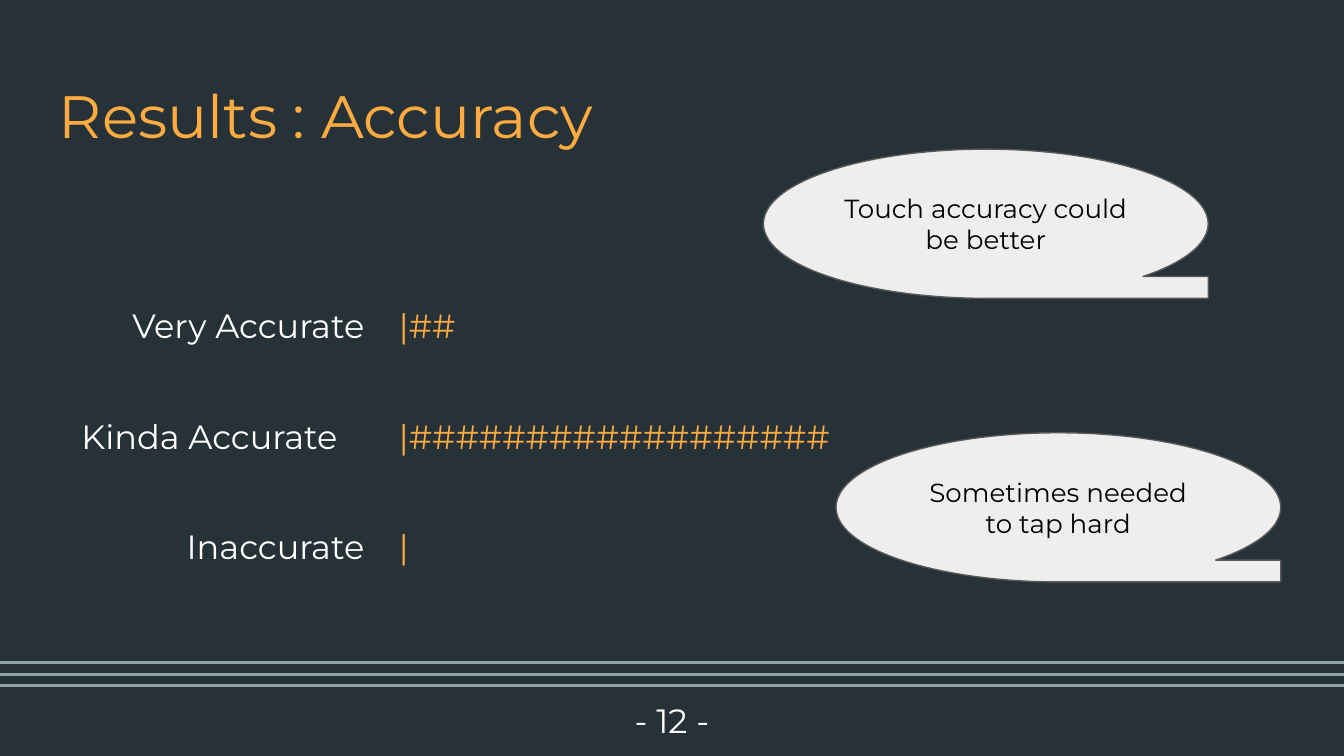
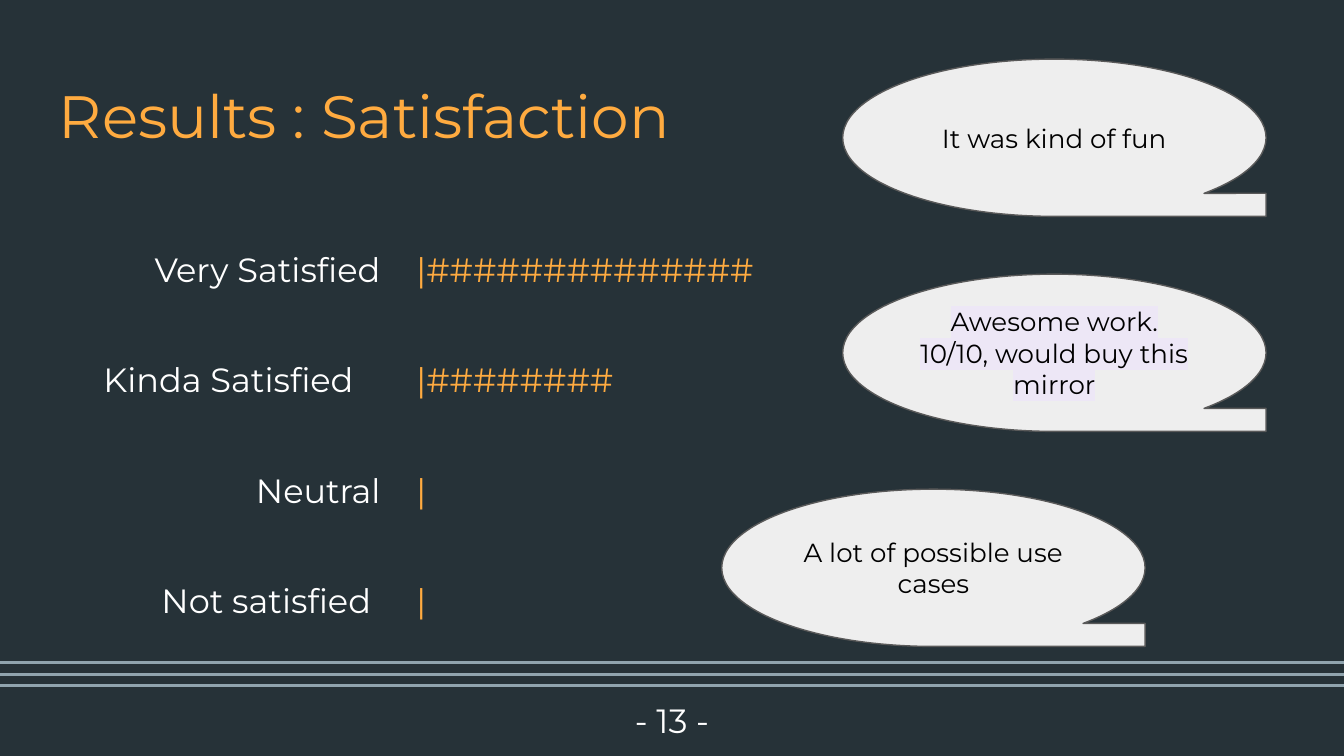
"""Build two survey result slides with tally bars and quote bubbles."""
from lxml import etree
from pptx import Presentation
from pptx.dml.color import RGBColor
from pptx.enum.shapes import MSO_CONNECTOR, MSO_SHAPE
from pptx.enum.text import MSO_ANCHOR, PP_ALIGN
from pptx.oxml.ns import qn
from pptx.util import Inches, Pt

LEFT, CENTER, RIGHT = PP_ALIGN.LEFT, PP_ALIGN.CENTER, PP_ALIGN.RIGHT
TOP, MIDDLE = MSO_ANCHOR.TOP, MSO_ANCHOR.MIDDLE
BUBBLE = MSO_SHAPE.FLOWCHART_SEQUENTIAL_ACCESS_STORAGE
STRAIGHT = MSO_CONNECTOR.STRAIGHT

FONT = "Montserrat"
WIDTH = 10
HEIGHT = WIDTH * 9 / 16
COLORS = {
    "back": "263238",
    "rule": "90A4AE",
    "accent": "FFAB40",
    "light": "FFFFFF",
    "dark": "000000",
    "bubble": "EEEEEE",
    "outline": "595959",
    "highlight": "EDE7F6",
}


def rgb(name):
    """Return the named palette colour."""
    return RGBColor.from_string(COLORS[name])


def write(sp, lines, size, color, align=LEFT, anchor=TOP):
    """Fill a shape with one formatted paragraph per line."""
    tf = sp.text_frame
    tf.text = "\n".join(lines)
    tf.word_wrap = True
    tf.vertical_anchor = anchor
    tf.margin_left = tf.margin_right = Inches(0.1)
    tf.margin_top = tf.margin_bottom = Inches(0.1)
    for p in tf.paragraphs:
        p.alignment = align
        for r in p.runs:
            r.font.size = Pt(size)
            r.font.color.rgb = rgb(color)
            r.font.name = FONT
    return tf


def add_text(s, box, lines, size, color, align=LEFT, anchor=TOP):
    """Add a text box and return its text frame."""
    sp = s.shapes.add_textbox(*map(Inches, box))
    return write(sp, lines, size, color, align, anchor)


def add_rule(s, y):
    """Add a full-width horizontal line."""
    line = s.shapes.add_connector(
        STRAIGHT, Inches(0), Inches(y), Inches(WIDTH), Inches(y))
    line.line.color.rgb = rgb("rule")
    line.line.width = Pt(1.5)
    etree.SubElement(line._element.spPr, qn("a:effectLst"))


def add_base(prs, title, title_width, number):
    """Add a slide with background, rules, title and page number."""
    s = prs.slides.add_slide(prs.slide_layouts[6])
    s.background.fill.solid()
    s.background.fill.fore_color.rgb = rgb("back")
    for y in (4.93, 5.02, 5.1):
        add_rule(s, y)
    add_text(s, (0.34, 0.49, title_width, 0.63), [title], 32, "accent")
    add_text(s, (4.55, 5.14, 0.9, 0.43), [f"- {number} -"], 18, "light",
             CENTER, MIDDLE)
    return s


def space_rows(tf):
    """Give tally rows their line and paragraph spacing."""
    for i, p in enumerate(tf.paragraphs):
        p.line_spacing = 2.0
        if i:
            p.space_before = Pt(16)


def add_tally(s, label_box, bar_box, rows):
    """Add right-aligned labels beside bars of hash marks."""
    labels = add_text(s, label_box, [label for label, _, _ in rows], 18,
                      "light", RIGHT)
    bars = add_text(s, bar_box, ["|" + "#" * count for _, count, _ in rows],
                    18, "accent")
    space_rows(labels)
    space_rows(bars)
    labels.paragraphs[-1].space_after = Pt(16)
    for p, (_, _, indent) in zip(labels.paragraphs, rows):
        p._p.get_or_add_pPr().set("marR", str(Inches(indent)))


def add_bubble(s, box, quote, highlight=False):
    """Add a speech bubble holding a quote."""
    sp = s.shapes.add_shape(BUBBLE, *map(Inches, box))
    sp.shadow.inherit = False
    sp.fill.solid()
    sp.fill.fore_color.rgb = rgb("bubble")
    sp.line.color.rgb = rgb("outline")
    sp.line.width = Pt(0.75)
    tf = write(sp, [quote], 14, "dark", CENTER, MIDDLE)
    if highlight:
        fill = tf.paragraphs[0].runs[0]._r.rPr.find(qn("a:solidFill"))
        mark = etree.Element(qn("a:highlight"))
        etree.SubElement(mark, qn("a:srgbClr"), val=COLORS["highlight"])
        fill.addnext(mark)


def add_accuracy(prs):
    """Build the accuracy slide."""
    s = add_base(prs, "Results : Accuracy", 9.32, 12)
    add_tally(s, (0.34, 1.87, 2.47, 2.49), (2.87, 1.87, 3.46, 2.46), [
        ("Very Accurate", 2, 0),
        ("Kinda Accurate", 18, 0.2),
        ("Inaccurate", 0, 0),
    ])
    for x, y, quote in [
        (5.68, 1.11, "Touch accuracy could be better"),
        (6.22, 3.22, "Sometimes needed to tap hard"),
    ]:
        add_bubble(s, (x, y, 3.31, 1.11), quote)


def add_satisfaction(prs):
    """Build the satisfaction slide."""
    s = add_base(prs, "Results : Satisfaction", 5.03, 13)
    add_tally(s, (0.37, 1.45, 2.56, 3.37), (3, 1.45, 2.77, 3.33), [
        ("Very Satisfied", 14, 0),
        ("Kinda Satisfied", 8, 0.2),
        ("Neutral", 0, 0),
        ("Not satisfied", 0, 0.07),
    ])
    for i, (x, quote, highlight) in enumerate([
        (6.27, "It was kind of fun", False),
        (6.27, "Awesome work. 10/10, would buy this mirror", True),
        (5.37, "A lot of possible use cases", False),
    ]):
        add_bubble(s, (x, 0.44 + 1.6 * i, 3.15, 1.17), quote, highlight)


def main():
    """Build and save the presentation."""
    prs = Presentation()
    prs.slide_width, prs.slide_height = Inches(WIDTH), Inches(HEIGHT)
    add_accuracy(prs)
    add_satisfaction(prs)
    prs.save("out.pptx")


if __name__ == "__main__":
    main()
